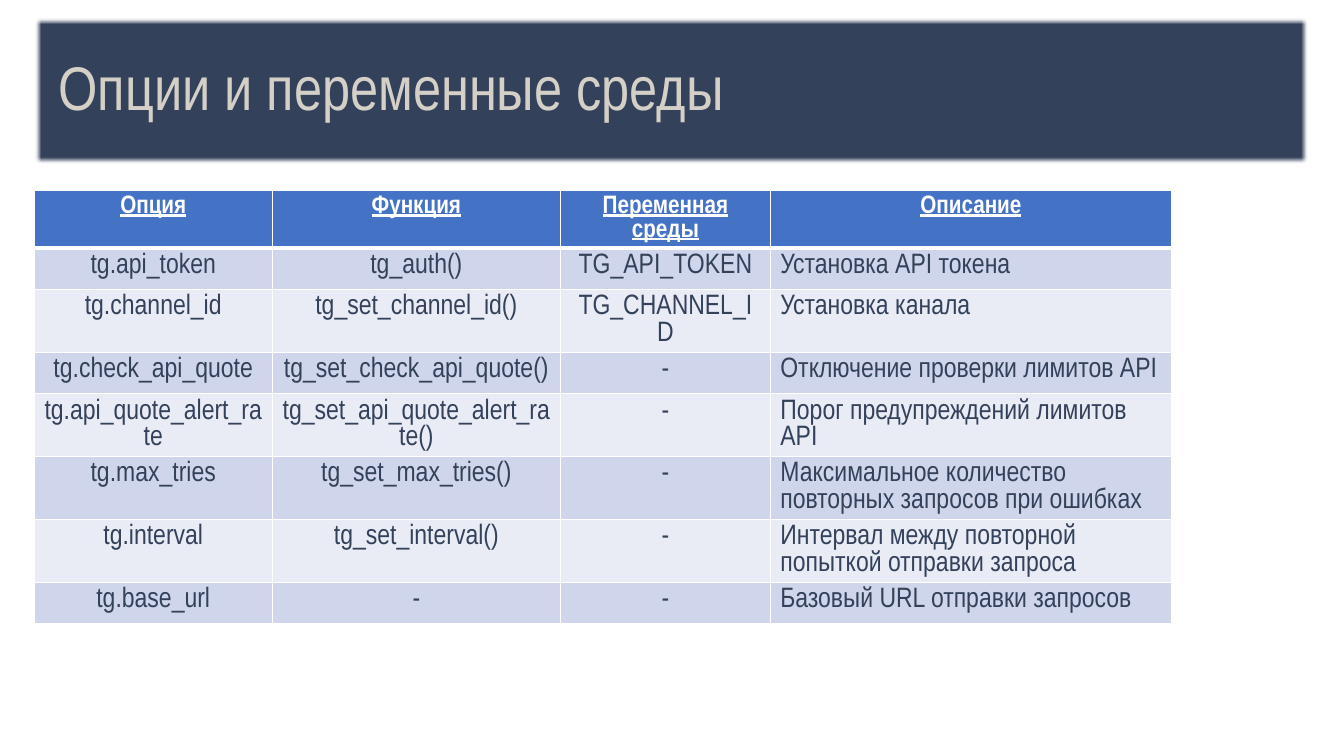
import lxml.etree
import pptx
import pptx.dml.color
import pptx.enum.shapes
import pptx.enum.text
import pptx.oxml.ns
import pptx.util

Inches = pptx.util.Inches
RGBColor = pptx.dml.color.RGBColor
Align = pptx.enum.text.PP_ALIGN
qn = pptx.oxml.ns.qn

NAVY = RGBColor(0x33, 0x41, 0x5A)
SAND = RGBColor(0xD4, 0xD0, 0xC8)
WHITE = RGBColor(0xFF, 0xFF, 0xFF)
HEADER_BLUE = RGBColor(0x44, 0x72, 0xC4)
BANDS = (RGBColor(0xCF, 0xD5, 0xEA), RGBColor(0xE9, 0xEB, 0xF5))

COLUMN_WIDTHS = (2.36, 2.86, 2.08, 3.98)
ROW_HEIGHT = 0.41
HEADERS = ("Опция", "Функция", "Переменная среды", "Описание")
OPTIONS = (
    ("tg.api_token", "tg_auth()", "TG_API_TOKEN", "Установка API токена"),
    ("tg.channel_id", "tg_set_channel_id()", "TG_CHANNEL_ID", "Установка канала"),
    ("tg.check_api_quote", "tg_set_check_api_quote()", "-", "Отключение проверки лимитов API"),
    ("tg.api_quote_alert_rate", "tg_set_api_quote_alert_rate()", "-", "Порог предупреждений лимитов API"),
    ("tg.max_tries", "tg_set_max_tries()", "-", "Максимальное количество повторных запросов при ошибках"),
    ("tg.interval", "tg_set_interval()", "-", "Интервал между повторной попыткой отправки запроса"),
    ("tg.base_url", "-", "-", "Базовый URL отправки запросов"),
)


class SlideBuilder:
    """Draws styled elements on the current slide."""

    font = "Arial Narrow"

    def __init__(self, page):
        self.page = page

    def add_text(self, frame, text, size, color, align, heading=False):
        para = frame.paragraphs[0]
        para.alignment = align
        span = para.add_run()
        span.text = text
        span.font.name = self.font
        span.font.size = pptx.util.Pt(size)
        span.font.color.rgb = color
        span.font.bold = span.font.underline = heading
        return para

    def banner(self, text, left, top, width, height):
        box = self.page.shapes.add_shape(
            pptx.enum.shapes.MSO_SHAPE.RECTANGLE,
            Inches(left), Inches(top), Inches(width), Inches(height))
        box.shadow.inherit = False
        box.fill.solid()
        box.fill.fore_color.rgb = NAVY
        box.line.fill.background()
        effects = box._element.spPr.find(qn("a:effectLst"))
        lxml.etree.SubElement(effects, qn("a:softEdge"), rad=str(pptx.util.Pt(2.5)))
        frame = box.text_frame
        frame.word_wrap = True
        frame.margin_left = Inches(0.24)
        frame.vertical_anchor = pptx.enum.text.MSO_ANCHOR.MIDDLE
        self.add_text(frame, text, 44, SAND, Align.LEFT).line_spacing = 0.9

    def borders(self, cell, top, bottom):
        properties = cell._tc.get_or_add_tcPr()
        for side, points in (("L", 1), ("R", 1), ("T", top), ("B", bottom)):
            line = lxml.etree.SubElement(
                properties, qn(f"a:ln{side}"), w=str(pptx.util.Pt(points)))
            fill = lxml.etree.SubElement(line, qn("a:solidFill"))
            lxml.etree.SubElement(fill, qn("a:srgbClr"), val=str(WHITE))

    def table(self, rows, left, top):
        grid = self.page.shapes.add_table(
            len(rows), len(COLUMN_WIDTHS), Inches(left), Inches(top),
            Inches(sum(COLUMN_WIDTHS)), Inches(ROW_HEIGHT * len(rows))).table
        for column, width in zip(grid.columns, COLUMN_WIDTHS):
            column.width = Inches(width)
        for row_index, texts in enumerate(rows):
            grid.rows[row_index].height = Inches(ROW_HEIGHT)
            heading = row_index == 0
            background = HEADER_BLUE if heading else BANDS[(row_index - 1) % 2]
            size, color = (18, WHITE) if heading else (20, NAVY)
            for column_index, text in enumerate(texts):
                cell = grid.cell(row_index, column_index)
                self.borders(cell, 3 if row_index == 1 else 1, 3 if heading else 1)
                cell.fill.solid()
                cell.fill.fore_color.rgb = background
                description = column_index == len(texts) - 1 and not heading
                align = Align.LEFT if description else Align.CENTER
                self.add_text(cell.text_frame, text, size, color, align, heading)


deck = pptx.Presentation()
deck.slide_width = Inches(13.33)
deck.slide_height = Inches(7.5)
builder = SlideBuilder(deck.slides.add_slide(deck.slide_layouts[6]))
builder.banner("Опции и переменные среды", 0.34, 0.17, 12.63, 1.45)
builder.table((HEADERS, *OPTIONS), 0.34, 1.89)
deck.save("out.pptx")
